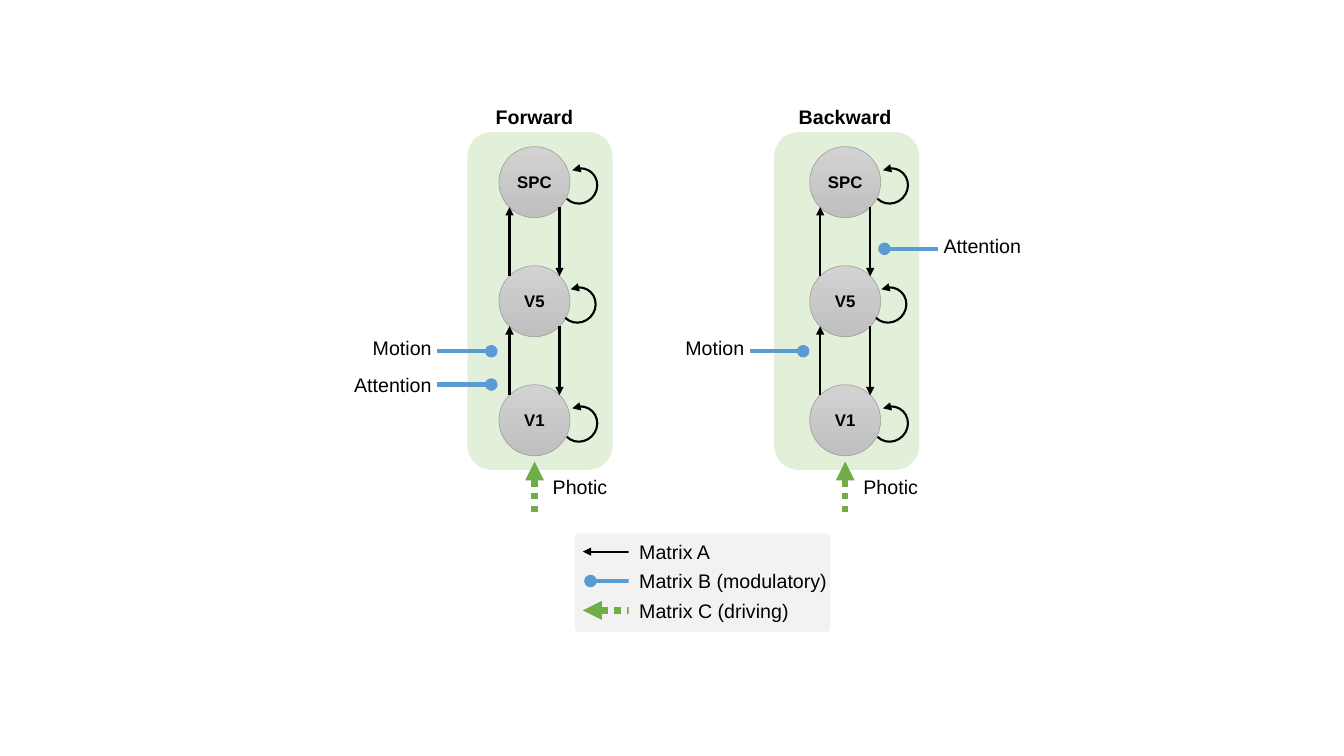
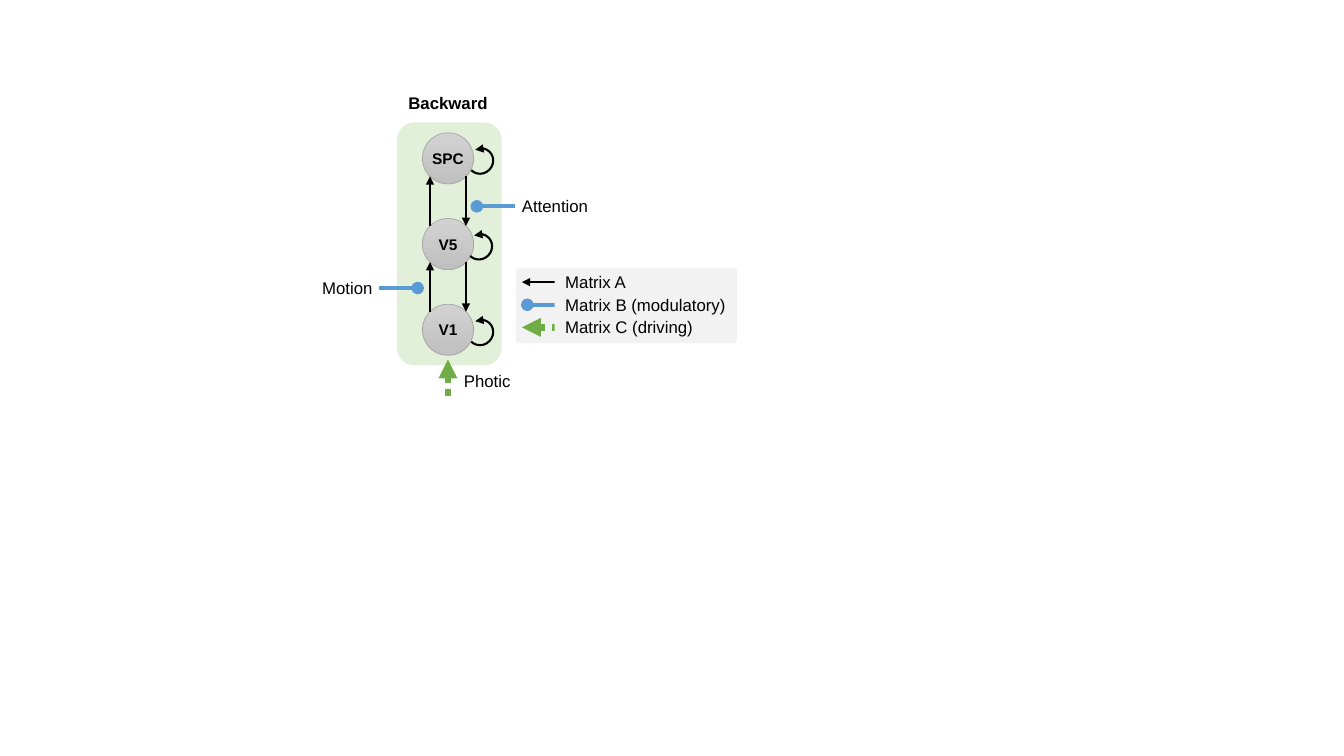
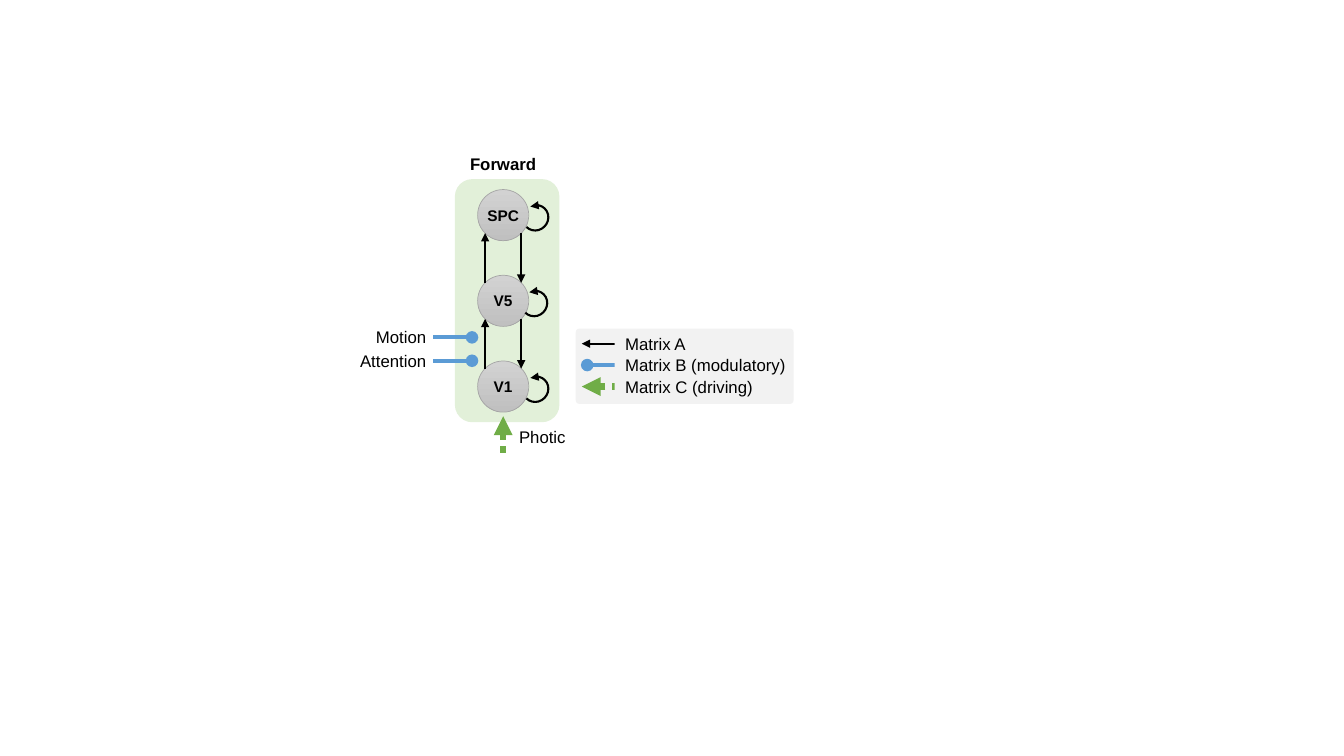
from dataclasses import dataclass
from typing import Any

from lxml.etree import SubElement
from pptx import Presentation
from pptx.dml.color import RGBColor
from pptx.enum.dml import MSO_LINE
from pptx.enum.shapes import MSO_CONNECTOR, MSO_SHAPE
from pptx.enum.text import MSO_ANCHOR, PP_ALIGN
from pptx.oxml.ns import qn
from pptx.util import Cm, Pt

BLACK = RGBColor(0x00, 0x00, 0x00)
PANEL_GREEN = RGBColor(0xE2, 0xF0, 0xD9)
LEGEND_GREY = RGBColor(0xF2, 0xF2, 0xF2)
NODE_TOP = RGBColor(0xD2, 0xD2, 0xD2)
NODE_BOTTOM = RGBColor(0xC0, 0xC0, 0xC0)
NODE_EDGE = RGBColor(0xA5, 0xA5, 0xA5)
BLUE = RGBColor(0x5B, 0x9B, 0xD5)
GREEN = RGBColor(0x70, 0xAD, 0x47)

FONT = "Arial"
TEXT_INSET = 0.25
NODE_FRAME = {
    "margin_left": 0, "margin_right": 0, "margin_top": 0, "margin_bottom": 0,
    "vertical_anchor": MSO_ANCHOR.MIDDLE, "word_wrap": True,
}

# Distances inside a model, in cm at full scale
NODE_NAMES = ("SPC", "V5", "V1")
NODE_PITCH = 3.0
NODE_DIAMETER = 1.79
ARROW_OFFSET = 0.63
PANEL_WIDTH, PANEL_HEIGHT, PANEL_RISE = 3.66, 8.51, 1.26
LOOP_WIDTH, LOOP_HEIGHT, LOOP_RISE = 0.91, 0.87, 0.34
LOOP_LEFT = {"SPC": 0.68, "V5": 0.64, "V1": 0.68}
PHOTIC_START, PHOTIC_TIP = 8.31, 7.04
PHOTIC_LEFT, PHOTIC_TOP = 0.21, 7.25
LABEL_WIDTH, LABEL_OVERLAP = 3.1, 0.11

# Width of the letters, in cm at 14 points
INK_WIDTH = {
    "Forward": 1.98, "Backward": 2.36, "Matrix A": 1.8,
    "Matrix B (modulatory)": 4.75, "Matrix C (driving)": 3.78,
}


@dataclass(frozen=True)
class Size:
    scale: float
    text: int
    node_text: int


@dataclass(frozen=True)
class Stroke:
    color: RGBColor
    width: float
    tip: str
    dash: Any = None


@dataclass(frozen=True)
class Modulation:
    """A labelled blue line; start, tip and y are measured from the SPC centre."""
    label: str
    start: float
    tip: float
    y: float
    text_lift: float = 0.0


@dataclass(frozen=True)
class Model:
    title: str
    x: float
    y: float
    title_top: float
    panel_shift: float
    modulations: tuple[Modulation, ...]


@dataclass(frozen=True)
class Legend:
    left: float
    top: float
    width: float
    height: float
    first_row: float
    row_pitch: float


@dataclass(frozen=True)
class LegendRow:
    label: str
    stroke: Stroke
    start: float
    tip: float


LARGE = Size(1.0, 14, 12)
SMALL = Size(0.72, 12, 11)

MATRIX_A = Stroke(BLACK, 1.5, "triangle")
MATRIX_B = Stroke(BLUE, 3, "oval")
MATRIX_C = Stroke(GREEN, 4.5, "triangle", MSO_LINE.ROUND_DOT)

LEGEND_ROWS = (
    LegendRow("Matrix A", MATRIX_A, 1.49, 0.21),
    LegendRow("Matrix B (modulatory)", MATRIX_B, 1.68, 0.4),
    LegendRow("Matrix C (driving)", MATRIX_C, 1.48, 0.21),
)

SLIDES = (
    (LARGE, Legend(14.48, 13.44, 6.45, 2.49, 0.46, 0.74), (
        Model("Forward", 13.47, 4.59, 2.51, -1.69, (
            Modulation("Motion", -2.45, -1.09, 4.26, 0.08),
            Modulation("Attention", -2.45, -1.09, 5.1),
        )),
        Model("Backward", 21.3, 4.59, 2.51, -1.79, (
            Modulation("Motion", -2.4, -1.06, 4.26, 0.08),
            Modulation("Attention", 2.34, 0.99, 1.68, 0.08),
        )),
    )),
    (SMALL, Legend(13.0, 6.75, 5.58, 1.9, 0.36, 0.57), (
        Model("Backward", 11.29, 3.99, 2.21, -1.78, (
            Modulation("Motion", -2.4, -1.06, 4.54),
            Modulation("Attention", 2.35, 1.01, 1.68),
        )),
    )),
    (SMALL, Legend(14.51, 8.28, 5.49, 1.9, 0.38, 0.54), (
        Model("Forward", 12.68, 5.42, 3.76, -1.69, (
            Modulation("Motion", -2.45, -1.09, 4.28),
            Modulation("Attention", -2.45, -1.09, 5.1),
        )),
    )),
)


def apply_format(target: Any, values: dict[str, Any]) -> None:
    for name, value in values.items():
        setattr(target, name, value)


def write(shape: Any, text: str, points: int, align: Any, bold: bool) -> None:
    paragraph = shape.text_frame.paragraphs[0]
    paragraph.alignment = align
    run = paragraph.add_run()
    run.text = text
    apply_format(run.font, {"name": FONT, "size": Pt(points), "bold": bold})
    run.font.color.rgb = BLACK


def text_height(points: int) -> float:
    return (points * 1.2 + 7.2) / 72 * 2.54


def text_width(text: str, points: int) -> float:
    return INK_WIDTH[text] * points / 14 + 2 * TEXT_INSET


def add_text(slide: Any, text: str, left: float, top: float, width: float, points: int,
             align: Any = PP_ALIGN.LEFT, bold: bool = False, wrap: bool = True) -> None:
    box = slide.shapes.add_textbox(Cm(left), Cm(top), Cm(width), Cm(text_height(points)))
    box.text_frame.word_wrap = wrap
    write(box, text, points, align, bold)


def add_block(slide: Any, kind: Any, left: float, top: float, width: float, height: float,
              color: RGBColor | None = None) -> Any:
    """Add a preset shape without shadow or line, filled only if a colour is given."""
    shape = slide.shapes.add_shape(kind, Cm(left), Cm(top), Cm(width), Cm(height))
    shape.shadow.inherit = False
    shape.line.fill.background()
    if color is None:
        shape.fill.background()
    else:
        shape.fill.solid()
        shape.fill.fore_color.rgb = color
    return shape


def apply_stroke(shape: Any, stroke: Stroke, end: str) -> None:
    shape.line.color.rgb = stroke.color
    shape.line.width = Pt(stroke.width)
    if stroke.dash is not None:
        shape.line.dash_style = stroke.dash
    SubElement(shape.element.spPr.get_or_add_ln(), qn(f"a:{end}"), type=stroke.tip)


def add_arrow(slide: Any, stroke: Stroke, x1: float, y1: float, x2: float, y2: float) -> None:
    """Draw a line whose tip is at x2, y2."""
    connector = slide.shapes.add_connector(
        MSO_CONNECTOR.STRAIGHT, Cm(x1), Cm(y1), Cm(x2), Cm(y2))
    apply_stroke(connector, stroke, "tailEnd")
    SubElement(connector.element.spPr, qn("a:effectLst"))


def add_node(slide: Any, name: str, x: float, y: float, size: Size) -> None:
    diameter = NODE_DIAMETER * size.scale
    node = add_block(slide, MSO_SHAPE.OVAL, x - diameter / 2, y - diameter / 2,
                     diameter, diameter)
    node.fill.gradient()
    node.fill.gradient_angle = 270
    for stop, color in zip(node.fill.gradient_stops, (NODE_TOP, NODE_BOTTOM)):
        stop.color.rgb = color
    node.line.color.rgb = NODE_EDGE
    node.line.width = Pt(0.5)
    apply_format(node.text_frame, NODE_FRAME)
    write(node, name, size.node_text, PP_ALIGN.CENTER, True)


def add_loop(slide: Any, name: str, x: float, y: float, scale: float) -> None:
    """Add the arrow from a node back to itself."""
    loop = add_block(slide, MSO_SHAPE.ARC, x + LOOP_LEFT[name] * scale, y - LOOP_RISE * scale,
                     LOOP_WIDTH * scale, LOOP_HEIGHT * scale)
    loop.rotation = 135
    loop.adjustments[0] = 65.99
    loop.adjustments[1] = 0
    apply_stroke(loop, MATRIX_A, "headEnd")


def add_modulation(slide: Any, modulation: Modulation, model: Model, size: Size) -> None:
    start = model.x + modulation.start * size.scale
    y = model.y + modulation.y * size.scale
    add_arrow(slide, MATRIX_B, start, y, model.x + modulation.tip * size.scale, y)
    width, overlap = LABEL_WIDTH * size.scale, LABEL_OVERLAP * size.scale
    on_left = modulation.start < 0
    left = start + overlap - width if on_left else start - overlap
    add_text(slide, modulation.label, left,
             y - text_height(size.text) / 2 - modulation.text_lift, width, size.text,
             PP_ALIGN.RIGHT if on_left else PP_ALIGN.LEFT)


def add_model(slide: Any, model: Model, size: Size) -> None:
    scale, x = size.scale, model.x
    add_block(slide, MSO_SHAPE.ROUNDED_RECTANGLE, x + model.panel_shift * scale,
              model.y - PANEL_RISE * scale, PANEL_WIDTH * scale, PANEL_HEIGHT * scale,
              PANEL_GREEN)
    title_width = text_width(model.title, size.text)
    add_text(slide, model.title, x - title_width / 2, model.title_top, title_width,
             size.text, PP_ALIGN.CENTER, bold=True, wrap=False)

    centres = [model.y + index * NODE_PITCH * scale for index in range(len(NODE_NAMES))]
    for name, y in zip(NODE_NAMES, centres):
        add_node(slide, name, x, y, size)
        add_loop(slide, name, x, y, scale)
    offset = ARROW_OFFSET * scale
    for upper, lower in zip(centres, centres[1:]):
        add_arrow(slide, MATRIX_A, x - offset, lower - offset, x - offset, upper + offset)
        add_arrow(slide, MATRIX_A, x + offset, upper + offset, x + offset, lower - offset)

    add_arrow(slide, MATRIX_C, x, model.y + PHOTIC_START * scale,
              x, model.y + PHOTIC_TIP * scale)
    add_text(slide, "Photic", x + PHOTIC_LEFT * scale, model.y + PHOTIC_TOP * scale,
             LABEL_WIDTH * scale, size.text)
    for modulation in model.modulations:
        add_modulation(slide, modulation, model, size)


def add_legend(slide: Any, legend: Legend, size: Size) -> None:
    scale, left = size.scale, legend.left
    box = add_block(slide, MSO_SHAPE.ROUNDED_RECTANGLE, left, legend.top,
                    legend.width, legend.height, LEGEND_GREY)
    box.adjustments[0] = 0.05
    rows = [(row, legend.top + legend.first_row + index * legend.row_pitch)
            for index, row in enumerate(LEGEND_ROWS)]
    for row, y in rows:
        add_arrow(slide, row.stroke, left + row.start * scale, y, left + row.tip * scale, y)
    # A strip in the box colour trims the line ends to one edge
    add_block(slide, MSO_SHAPE.RECTANGLE, left + 1.36 * scale, legend.top + 0.09 * scale,
              0.53 * scale, 2.31 * scale, LEGEND_GREY)
    for row, y in rows:
        add_text(slide, row.label, left + 1.38 * scale, y - text_height(size.text) / 2,
                 text_width(row.label, size.text), size.text, wrap=False)


def main() -> None:
    presentation = Presentation()
    presentation.slide_width, presentation.slide_height = Cm(33.87), Cm(19.05)
    for size, legend, models in SLIDES:
        slide = presentation.slides.add_slide(presentation.slide_layouts[6])
        add_legend(slide, legend, size)
        for model in models:
            add_model(slide, model, size)
    presentation.save("out.pptx")


if __name__ == "__main__":
    main()
